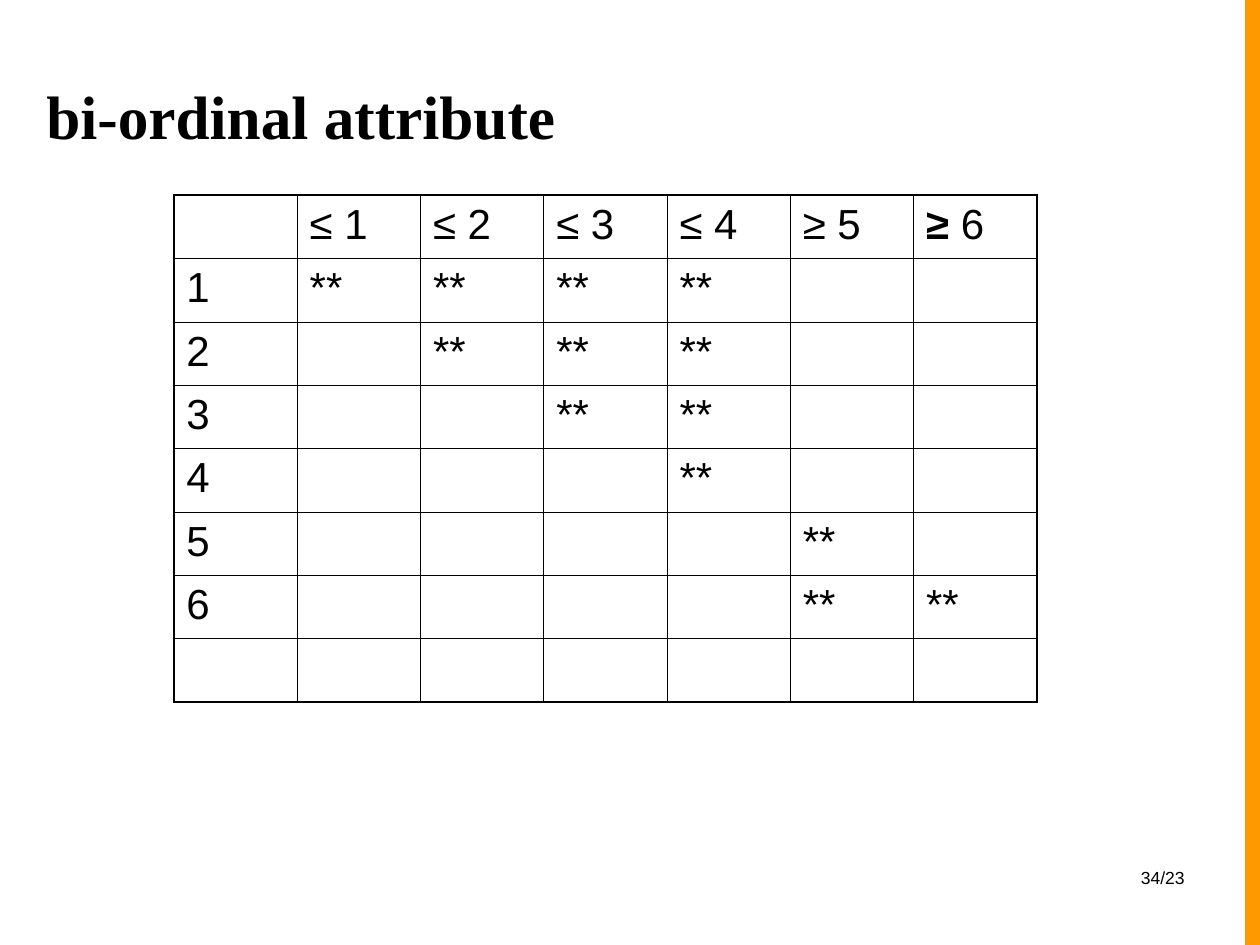
from pptx import Presentation
from pptx.dml.color import RGBColor
from pptx.enum.shapes import MSO_SHAPE as Shape
from pptx.enum.text import MSO_ANCHOR as Anchor, PP_ALIGN as Align
from pptx.oxml import parse_xml
from pptx.oxml.ns import nsdecls
from pptx.util import Pt


def color(value):
    return RGBColor.from_string(value)


def add_run(para, text, size, font, bold=False):
    span = para.add_run()
    span.text = text
    span.font.size = Pt(size)
    span.font.name = font
    span.font.bold = bold
    span.font.color.rgb = color("000000")


deck = Presentation()
deck.slide_width = Pt(720)
deck.slide_height = Pt(540)
page = deck.slides.add_slide(deck.slide_layouts[6])

stripe = page.shapes.add_shape(Shape.RECTANGLE, Pt(711.36), Pt(0), Pt(11.52), Pt(540))
stripe.shadow.inherit = False
stripe.fill.solid()
stripe.fill.fore_color.rgb = color("FF9900")
stripe.line.fill.background()

labels = [
    ("34/23", 516.24, 491.76, 167.76, 36, Anchor.TOP, Align.RIGHT, 10, "Arial", False),
    ("bi-ordinal attribute", 19.44, 0, 652.32, 90, Anchor.BOTTOM, Align.LEFT, 35, "Times New Roman", True),
]
for text, left, top, width, height, anchor, align, size, font, bold in labels:
    box = page.shapes.add_textbox(Pt(left), Pt(top), Pt(width), Pt(height))
    frame = box.text_frame
    frame.word_wrap = True
    frame.vertical_anchor = anchor
    para = frame.paragraphs[0]
    para.alignment = align
    add_run(para, text, size, font, bold)

thresholds = [("≤", 1), ("≤", 2), ("≤", 3), ("≤", 4), ("≥", 5), ("≥", 6)]
grid = [[[]] + [[f"{sign} {limit}"] for sign, limit in thresholds]]
grid[0][-1] = ["≥ ", "6"]
for value in range(1, 7):
    marks = [value <= limit if sign == "≤" else value >= limit for sign, limit in thresholds]
    grid.append([[str(value)]] + [["**"] if mark else [] for mark in marks])
grid.append([[]] * 7)

last_row, last_column = len(grid) - 1, len(grid[0]) - 1
table = page.shapes.add_table(
    len(grid), len(grid[0]), Pt(99.36), Pt(111.6), Pt(493.2), Pt(288)
).table
table.first_row = False
table.horz_banding = False
for column in table.columns:
    column.width = Pt(70.46)
for row in table.rows:
    row.height = Pt(36.2)

for row_index, cells in enumerate(grid):
    for column_index, parts in enumerate(cells):
        cell = table.cell(row_index, column_index)
        properties = cell._tc.get_or_add_tcPr()
        outer_edges = {
            "lnL": column_index == 0,
            "lnR": column_index == last_column,
            "lnT": row_index == 0,
            "lnB": row_index == last_row,
        }
        for edge, outer in outer_edges.items():
            width = Pt(1.08 if outer else 0.45)
            properties.append(parse_xml(
                f'<a:{edge} {nsdecls("a")} w="{width}"><a:solidFill>'
                f'<a:srgbClr val="000000"/></a:solidFill></a:{edge}>'
            ))
        cell.fill.background()
        para = cell.text_frame.paragraphs[0]
        for part in parts:
            add_run(para, part, 24, "Arial", part == "≥ ")

deck.save("out.pptx")
